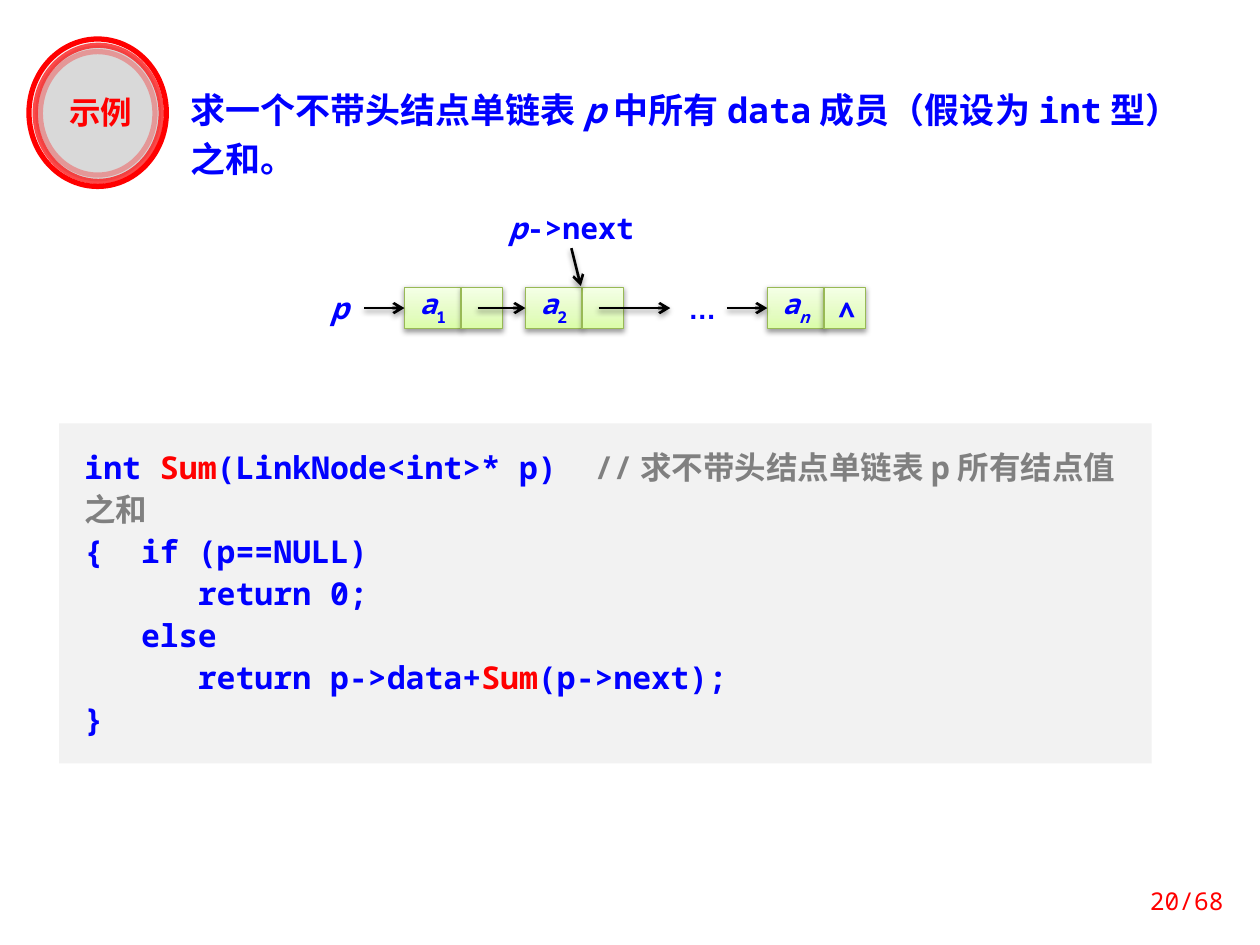
from lxml.etree import SubElement
from pptx import Presentation
from pptx.dml.color import RGBColor
from pptx.enum.shapes import MSO_CONNECTOR, MSO_SHAPE
from pptx.enum.text import MSO_ANCHOR, PP_ALIGN
from pptx.oxml.ns import qn
from pptx.util import Inches, Pt

BLUE, RED, GRAY, BLACK, WHITE = "0000FF", "FF0000", "808080", "000000", "FFFFFF"
MONO, CHINESE = "Noto Sans Mono", "Noto Sans CJK SC"
ITALIC, SUBSCRIPT = {"italic": True}, {"subscript": True}

# A paragraph is a list of (text, format) runs.
TITLE = [[("求一个不带头结点单链表", {}), ("p", ITALIC),
          ("中所有data成员（假设为int型）之和。", {})]]
CODE = [
    [("int ", {}), ("Sum", {"color": RED}), ("(LinkNode<int>* p)  ", {}),
     ("//求不带头结点单链表p所有结点值之和", {"color": GRAY})],
    [("{  if (p==NULL)", {})],
    [("      return 0;", {})],
    [("   else", {})],
    [("      return p->data+", {}), ("Sum", {"color": RED}), ("(p->next);", {})],
    [("}", {})],
]
# left, subscript, subscript format, text of the pointer cell
NODES = [
    (3.21, "1", SUBSCRIPT, ""),
    (4.17, "2", SUBSCRIPT, ""),
    (6.09, "n", ITALIC | SUBSCRIPT, "∧"),
]
# left, top, width, height, fill, line opacity in percent
RINGS = [
    (0.23, 0.31, 1.09, 1.17, "F8F8F8", 100),
    (0.28, 0.36, 1, 1.08, "D9D9D9", 70),
    (0.32, 0.41, 0.91, 0.98, None, 30),
]
NODE_TOP, CELL_HEIGHT, DATA_WIDTH, NEXT_WIDTH = 2.28, 0.33, 0.45, 0.33
CELL_GRADIENT = [(0, "DAFDA7"), (35, "E4FCC2"), (100, "F5FFE7")]


def rgb(color):
    return RGBColor.from_string(color)


def write(shape, paragraphs, size=18, font=MONO, color=BLUE, bold=True, align=PP_ALIGN.LEFT,
          spacing=None, insets=(0.1, 0.05, 0.1, 0.05), anchor=MSO_ANCHOR.TOP):
    frame = shape.text_frame
    frame.word_wrap = True
    frame.vertical_anchor = anchor
    frame.margin_left, frame.margin_top, frame.margin_right, frame.margin_bottom = map(Inches, insets)
    for index, runs in enumerate(paragraphs):
        paragraph = frame.add_paragraph() if index else frame.paragraphs[0]
        paragraph.alignment = align
        paragraph.line_spacing = spacing
        for text, style in runs:
            run = paragraph.add_run()
            run.text = text
            run.font.size, run.font.name, run.font.bold = Pt(size), font, bold
            run.font.italic = style.get("italic", False)
            run.font.color.rgb = rgb(style.get("color", color))
            properties = run.font._element
            SubElement(properties, qn("a:ea"), typeface=CHINESE)
            if style.get("subscript"):
                properties.set("baseline", "-30000")


def add_box(shapes, bounds, fill=None, line=None, width=0.75, kind=MSO_SHAPE.RECTANGLE):
    shape = shapes.add_shape(kind, *map(Inches, bounds))
    shape.shadow.inherit = False
    if fill:
        shape.fill.solid()
        shape.fill.fore_color.rgb = rgb(fill)
    else:
        shape.fill.background()
    if line:
        shape.line.color.rgb = rgb(line)
        shape.line.width = Pt(width)
    else:
        shape.line.fill.background()
    return shape


def add_text(shapes, bounds, paragraphs, **style):
    box = shapes.add_textbox(*map(Inches, bounds))
    write(box, paragraphs, **style)
    return box


def add_color(parent, color, opacity=100):
    element = SubElement(parent, qn("a:srgbClr"), val=color)
    if opacity < 100:
        SubElement(element, qn("a:alpha"), val=str(opacity * 1000))


def cast_shadow(effects):
    shadow = SubElement(effects, qn("a:outerShdw"), blurRad=str(Pt(3.1)), dist=str(Pt(1.6)),
                        dir="5400000", rotWithShape="0")
    add_color(shadow, BLACK, 38)


def add_cell(shapes, left, width, runs, **style):
    cell = add_box(shapes, (left, NODE_TOP, width, CELL_HEIGHT), line="98B955")
    cell.fill.gradient()
    cell.fill.gradient_angle = 90
    properties = cell._element.spPr
    stops = properties.find(f".//{qn('a:gsLst')}")
    for stop in list(stops):
        stops.remove(stop)
    for position, color in CELL_GRADIENT:
        add_color(SubElement(stops, qn("a:gs"), pos=str(position * 1000)), color)
    cast_shadow(properties.find(qn("a:effectLst")))
    if runs:
        write(cell, [runs], size=16, align=PP_ALIGN.CENTER, spacing=Pt(21),
              anchor=MSO_ANCHOR.MIDDLE, **style)
    return cell


def add_label(shapes, bounds, runs, **style):
    label = add_box(shapes, bounds, fill=WHITE)
    write(label, [runs], align=PP_ALIGN.CENTER, anchor=MSO_ANCHOR.MIDDLE, **style)
    return label


def add_arrow(shapes, start, end, source=None, target=None):
    """source and target are (shape, side) pairs to join the ends to."""
    arrow = shapes.add_connector(MSO_CONNECTOR.STRAIGHT, *map(Inches, start + end))
    if source:
        arrow.begin_connect(*source)
    if target:
        arrow.end_connect(*target)
    arrow.line.color.rgb = rgb(BLACK)
    arrow.line.width = Pt(1.5)
    SubElement(arrow.line._get_or_add_ln(), qn("a:tailEnd"), type="arrow")
    cast_shadow(SubElement(arrow._element.spPr, qn("a:effectLst")))


def draw_badge(shapes):
    for *bounds, fill, opacity in RINGS:
        ring = add_box(shapes, bounds, fill, RED, 3, MSO_SHAPE.OVAL)
        if opacity < 100:
            color = ring.line._get_or_add_ln().find(f".//{qn('a:srgbClr')}")
            SubElement(color, qn("a:alpha"), val=str(opacity * 1000))
    add_text(shapes, (0.4, 0.75, 0.8, 0.34), [[("示例", {})]], font=CHINESE, color=RED,
             align=PP_ALIGN.CENTER, spacing=0.8)


def draw_list(shapes):
    data_cells = []
    for left, subscript, style, pointer in NODES:
        data_cells.append(add_cell(shapes, left, DATA_WIDTH, [("a", ITALIC), (subscript, style)],
                                   insets=(0.1, 0, 0.1, 0)))
        add_cell(shapes, left + DATA_WIDTH, NEXT_WIDTH, [(pointer, {})] if pointer else [],
                 insets=(0.03, 0, 0, 0))
    first, second, last = data_cells
    dots = add_label(shapes, (5.32, NODE_TOP, 0.51, CELL_HEIGHT), [("…", {})],
                     size=16, font="Arial", insets=(0.1, 0, 0.1, 0))
    head = add_label(shapes, (2.5, NODE_TOP, 0.39, CELL_HEIGHT), [("p", ITALIC)],
                     size=17, insets=(0, 0, 0, 0))
    following = add_label(shapes, (3.91, 1.64, 1.25, 0.33), [("p", ITALIC), ("->next", {})],
                          size=17, insets=(0, 0, 0, 0))
    middle = NODE_TOP + CELL_HEIGHT / 2
    add_arrow(shapes, (2.89, middle), (3.21, middle), (head, 3), (first, 1))
    add_arrow(shapes, (3.79, middle), (4.17, middle), target=(second, 1))
    add_arrow(shapes, (4.75, middle), (5.32, middle), target=(dots, 1))
    add_arrow(shapes, (5.77, middle), (6.09, middle), target=(last, 1))
    add_arrow(shapes, (4.53, 1.97), (4.61, 2.27), source=(following, 2))


def main():
    presentation = Presentation()
    presentation.slide_width, presentation.slide_height = Inches(10), Inches(7.5)
    slide = presentation.slides.add_slide(presentation.slide_layouts[6])
    shapes = slide.shapes
    add_text(shapes, (1.41, 0.6, 8.28, 0.88), TITLE, size=20, spacing=Pt(28))
    draw_badge(shapes.add_group_shape().shapes)
    code = add_box(shapes, (0.47, 3.36, 8.67, 2.7), fill="F2F2F2")
    write(code, CODE, spacing=Pt(24), insets=(0.2, 0.16, 0.1, 0.16))
    draw_list(shapes.add_group_shape().shapes)
    add_text(shapes, (8.83, 6.95, 0.98, 0.4), [[("20/68", {})]], size=14, color=RED, bold=False,
             align=PP_ALIGN.RIGHT, anchor=MSO_ANCHOR.MIDDLE)
    presentation.save("out.pptx")


if __name__ == "__main__":
    main()
